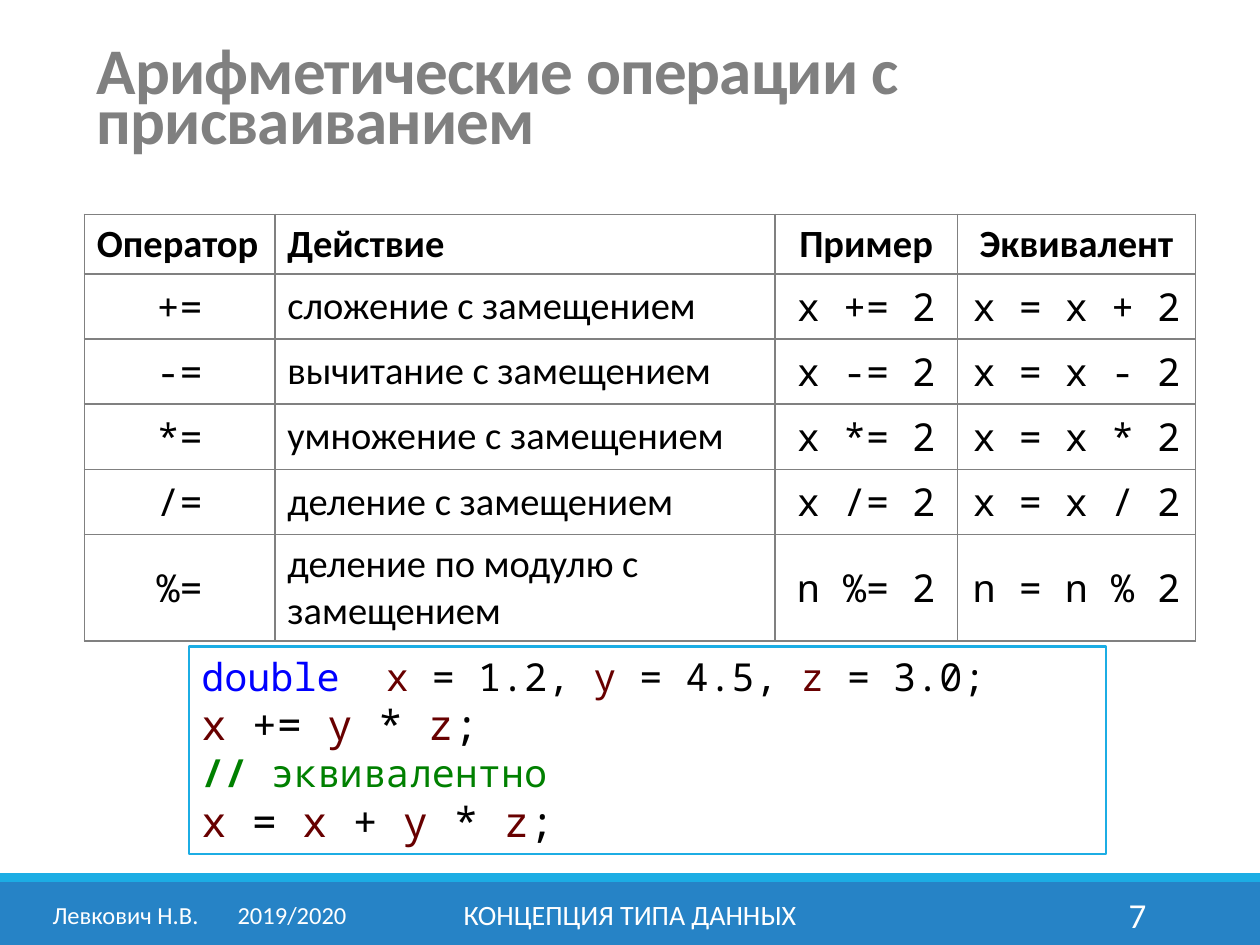
"""Build the slide on arithmetic assignment operators."""
import pptx
import pptx.dml.color
import pptx.enum.shapes
import pptx.enum.text
import pptx.oxml
import pptx.oxml.ns
import pptx.util

Cm, Pt = pptx.util.Cm, pptx.util.Pt
ALIGN = pptx.enum.text.PP_ALIGN
MIDDLE = pptx.enum.text.MSO_ANCHOR.MIDDLE
SANS, MONO = "Calibri", "Noto Sans Mono"
COLORS = {"bar": "2683C6", "accent": "1CADE4", "white": "FFFFFF", "gray": "808080",
          "text": "000000", "keyword": "0000FF", "name": "680000", "comment": "008000"}

TITLE = "Арифметические операции с присваиванием"
ROWS = [
    ("Оператор", "Действие", "Пример", "Эквивалент"),
    ("+=", "сложение с замещением", "x += 2", "x = x + 2"),
    ("-=", "вычитание с замещением", "x -= 2", "x = x - 2"),
    ("*=", "умножение с замещением", "x *= 2", "x = x * 2"),
    ("/=", "деление с замещением", "x /= 2", "x = x / 2"),
    ("%=", "деление по модулю с замещением", "n %= 2", "n = n % 2"),
]
COL_WIDTHS = (3.84, 10.08, 3.68, 4.8)
ROW_HEIGHTS = (1.2, 1.31, 1.31, 1.31, 1.31, 2.15)
CODE = [
    (22, [("double  ", "keyword"), ("x", "name"), (" = 1.2, ", "text"), ("y", "name"),
          (" = 4.5, ", "text"), ("z", "name"), (" = 3.0;", "text")]),
    (24, [("x", "name"), (" += ", "text"), ("y ", "name"), ("* ", "text"),
          ("z", "name"), (";", "text")]),
    (22, [("// ", "comment"), ("эквивалентно", "comment")]),
    (24, [("x ", "name"), ("= ", "text"), ("x ", "name"), ("+ ", "text"),
          ("y ", "name"), ("* ", "text"), ("z", "name"), (";", "text")]),
]
BARS = [(17.78, 1.27, "bar"), (17.6, 0.18, "accent")]
FOOTER = [
    (0.81, 6.63, "Левкович Н.В.\t2019/2020", 14, ALIGN.LEFT),
    (7.67, 10.06, "КОНЦЕПЦИЯ ТИПА ДАННЫХ", 16, ALIGN.CENTER),
    (20.62, 2.74, "7", 20, ALIGN.RIGHT),
]


def rgb(key):
    return pptx.dml.color.RGBColor.from_string(COLORS[key])


def style(r, size, color, font=SANS, bold=False):
    r.font.size, r.font.name, r.font.bold = Pt(size), font, bold
    r.font.color.rgb = rgb(color)


def add_rect(left, top, width, height):
    sp = slide.shapes.add_shape(pptx.enum.shapes.MSO_SHAPE.RECTANGLE,
                                Cm(left), Cm(top), Cm(width), Cm(height))
    sp.shadow.inherit = False
    return sp


def add_borders(cell):
    ns = pptx.oxml.ns.nsdecls("a")
    tcPr = cell._tc.get_or_add_tcPr()
    for i, side in enumerate(("lnL", "lnR", "lnT", "lnB")):
        tcPr.insert(i, pptx.oxml.parse_xml(
            f'<a:{side} {ns} w="12700"><a:solidFill><a:srgbClr val="{COLORS["gray"]}"/>'
            f'</a:solidFill></a:{side}>'))


prs = pptx.Presentation()
prs.slide_width, prs.slide_height = Cm(25.4), Cm(19.05)
slide = prs.slides.add_slide(prs.slide_layouts[5])

for top, height, color in BARS:
    sp = add_rect(0, top, 25.4, height)
    sp.fill.solid()
    sp.fill.fore_color.rgb = rgb(color)
    sp.line.fill.background()

title = slide.shapes.title
title.left, title.top, title.width, title.height = Cm(1.7), Cm(0.91), Cm(22.45), Cm(2.39)
tf = title.text_frame
tf.text = TITLE
tf.vertical_anchor = MIDDLE
p = tf.paragraphs[0]
p.alignment, p.line_spacing = ALIGN.LEFT, 0.65
style(p.runs[0], 37.2, "gray", bold=True)
p.runs[0]._r.get_or_add_rPr().set("spc", "-50")

table = slide.shapes.add_table(len(ROWS), len(COL_WIDTHS), Cm(1.7), Cm(4.32),
                               Cm(sum(COL_WIDTHS)), Cm(sum(ROW_HEIGHTS))).table
for col, width in zip(table.columns, COL_WIDTHS):
    col.width = Cm(width)
for row, height in zip(table.rows, ROW_HEIGHTS):
    row.height = Cm(height)
for i, texts in enumerate(ROWS):
    for j, text in enumerate(texts):
        cell = table.cell(i, j)
        cell.text_frame.text = text
        cell.vertical_anchor = MIDDLE
        cell.fill.solid()
        cell.fill.fore_color.rgb = rgb("white")
        add_borders(cell)
        p = cell.text_frame.paragraphs[0]
        left = j == 1 or (i == 0 and j == 0)
        p.alignment = ALIGN.LEFT if left else ALIGN.CENTER
        style(p.runs[0], 22, "text", SANS if i == 0 or j == 1 else MONO, i == 0)

code = add_rect(3.81, 13.03, 18.49, 4.19)
code.fill.background()
code.line.color.rgb, code.line.width = rgb("accent"), Pt(1.5)
tf = code.text_frame
tf.word_wrap = True
tf.vertical_anchor = pptx.enum.text.MSO_ANCHOR.TOP
for i, (size, tokens) in enumerate(CODE):
    p = tf.add_paragraph() if i else tf.paragraphs[0]
    p.alignment = ALIGN.LEFT
    for text, color in tokens:
        r = p.add_run()
        r.text = text
        style(r, size, color, MONO, bold=text == "// ")

for left, width, text, size, align in FOOTER:
    tf = slide.shapes.add_textbox(Cm(left), Cm(17.93), Cm(width), Cm(1.02)).text_frame
    tf.text = text
    tf.word_wrap = True
    tf.vertical_anchor = MIDDLE
    p = tf.paragraphs[0]
    p.alignment = align
    style(p.runs[0], size, "white")
    if "\t" in text:
        p._p.get_or_add_pPr().append(pptx.oxml.parse_xml(
            f'<a:tabLst {pptx.oxml.ns.nsdecls("a")}>'
            f'<a:tab pos="{Cm(3.73)}" algn="l"/></a:tabLst>'))

prs.save("out.pptx")
